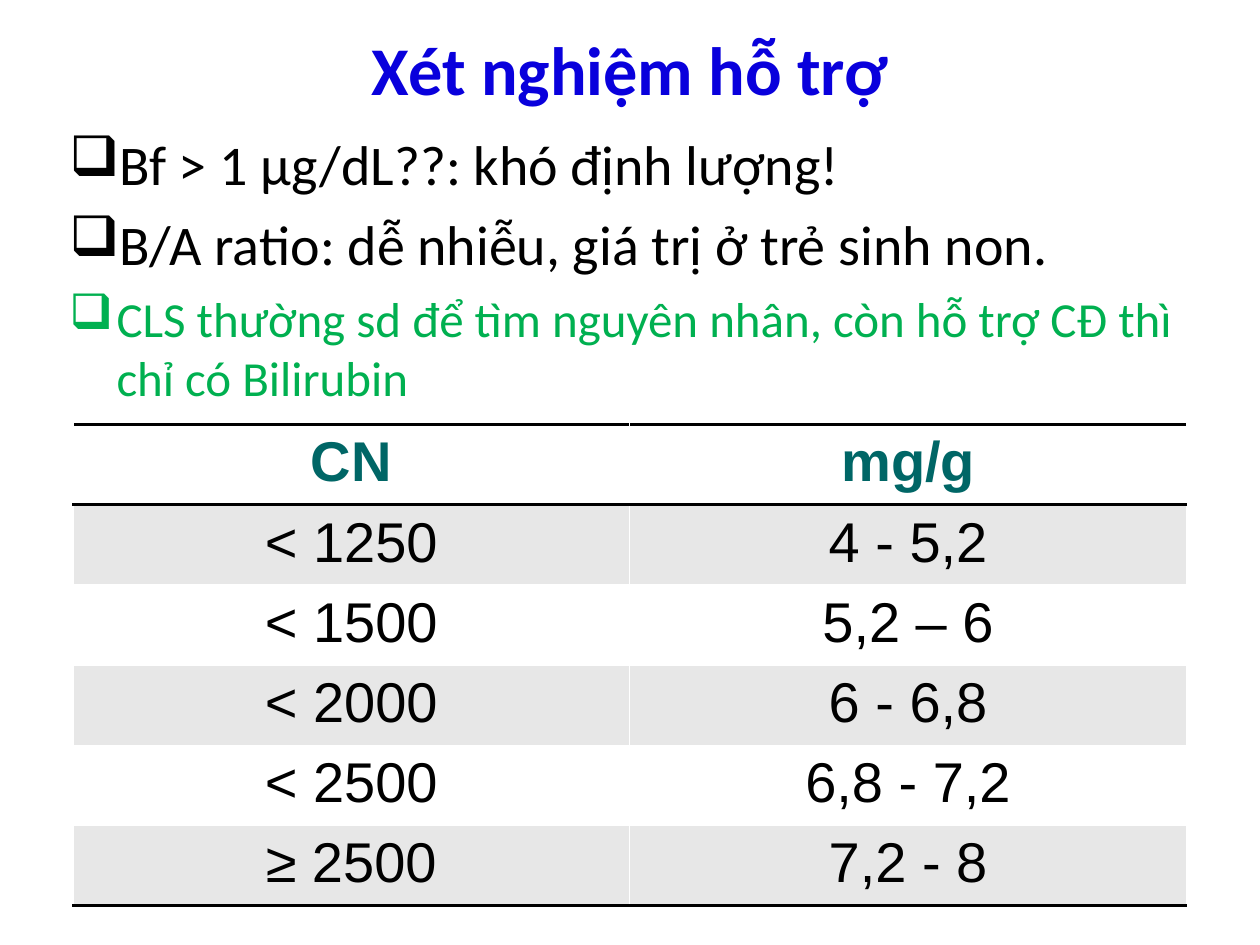
from dataclasses import dataclass

from lxml.etree import SubElement
from pptx import Presentation
from pptx.dml.color import RGBColor
from pptx.enum.text import MSO_ANCHOR, MSO_AUTO_SIZE, PP_ALIGN
from pptx.oxml.ns import qn
from pptx.util import Cm, Pt


@dataclass(frozen=True)
class Theme:
    heading_font: str = "Calibri"
    table_font: str = "Arial"
    title: str = "0900DC"
    text: str = "000000"
    remark: str = "00B050"
    header: str = "006666"
    band: str = "E7E7E7"
    paper: str = "FFFFFF"
    title_size: int = 39
    text_size: int = 32
    remark_size: int = 28


THEME = Theme()
INSET = Cm(0.13)
FINDINGS = [
    ("Bf > 1 μg/dL??: khó định lượng!", THEME.text_size, THEME.text),
    ("B/A ratio: dễ nhiễu, giá trị ở trẻ sinh non.", THEME.text_size, THEME.text),
    ("CLS thường sd để tìm nguyên nhân, còn hỗ trợ CĐ thì chỉ có Bilirubin",
     THEME.remark_size, THEME.remark),
]
RATIOS = [
    ("CN", "mg/g"),
    ("< 1250", "4 - 5,2"),
    ("< 1500", "5,2 – 6"),
    ("< 2000", "6 - 6,8"),
    ("< 2500", "6,8 - 7,2"),
    ("≥ 2500", "7,2 - 8"),
]


def write(paragraph, text, *, size=THEME.text_size, color=THEME.text,
          font=THEME.heading_font, bold=False, align=PP_ALIGN.LEFT):
    paragraph.alignment = align
    run = paragraph.add_run()
    run.text = text
    run.font.name = font
    run.font.size = Pt(size)
    run.font.bold = bold
    run.font.color.rgb = RGBColor.from_string(color)


def set_insets(box):
    box.margin_left = box.margin_right = INSET
    box.margin_top = box.margin_bottom = INSET


def add_bullet(paragraph, char="❑", indent=Cm(0.95)):
    properties = paragraph._p.get_or_add_pPr()
    properties.set("marL", str(indent))
    properties.set("indent", str(-indent))
    SubElement(properties, qn("a:buChar")).set("char", char)


def set_title(slide, text):
    title = slide.shapes.title
    title.left, title.top, title.width, title.height = (
        Cm(1.27), Cm(0.38), Cm(22.86), Cm(2.01))
    frame = title.text_frame
    set_insets(frame)
    frame.auto_size = MSO_AUTO_SIZE.NONE
    frame.vertical_anchor = MSO_ANCHOR.MIDDLE
    write(frame.paragraphs[0], text, size=THEME.title_size, color=THEME.title,
          bold=True, align=PP_ALIGN.CENTER)


def add_findings(slide, findings):
    frame = slide.shapes.add_textbox(
        Cm(1.27), Cm(2.49), Cm(22.86), Cm(14.05)).text_frame
    frame.word_wrap = True
    set_insets(frame)
    for index, (text, size, color) in enumerate(findings):
        paragraph = frame.add_paragraph() if index else frame.paragraphs[0]
        add_bullet(paragraph)
        if index:
            paragraph.space_before = Pt(7)
        write(paragraph, text, size=size, color=color)


def set_border(cell, side, color, width):
    line = SubElement(cell._tc.get_or_add_tcPr(), qn(f"a:ln{side}"), w=str(Pt(width)))
    fill = SubElement(line, qn("a:solidFill"))
    SubElement(fill, qn("a:srgbClr")).set("val", color)


def add_ratio_table(slide, rows):
    """Draw rules around the header and below the last row, with shaded odd rows."""
    row_height = Cm(1.52)
    table = slide.shapes.add_table(
        len(rows), len(rows[0]), Cm(1.47), Cm(8.56), Cm(22.45),
        row_height * len(rows)).table
    ruled_edges = {0, 1, len(rows)}
    for r, values in enumerate(rows):
        table.rows[r].height = row_height
        for c, value in enumerate(values):
            cell = table.cell(r, c)
            set_insets(cell)
            for side in "LR":
                set_border(cell, side, THEME.paper, 1)
            for side, edge in (("T", r), ("B", r + 1)):
                if edge in ruled_edges:
                    set_border(cell, side, THEME.text, 2)
                else:
                    set_border(cell, side, THEME.paper, 1)
            cell.fill.solid()
            cell.fill.fore_color.rgb = RGBColor.from_string(
                THEME.band if r % 2 else THEME.paper)
            write(cell.text_frame.paragraphs[0], value, font=THEME.table_font,
                  color=THEME.text if r else THEME.header, bold=r == 0,
                  align=PP_ALIGN.CENTER)


def main():
    presentation = Presentation()
    presentation.slide_width, presentation.slide_height = Cm(25.4), Cm(19.05)
    slide = presentation.slides.add_slide(
        presentation.slide_layouts.get_by_name("Title Only"))
    set_title(slide, "Xét nghiệm hỗ trợ")
    add_findings(slide, FINDINGS)
    add_ratio_table(slide, RATIOS)
    presentation.save("out.pptx")


if __name__ == "__main__":
    main()
